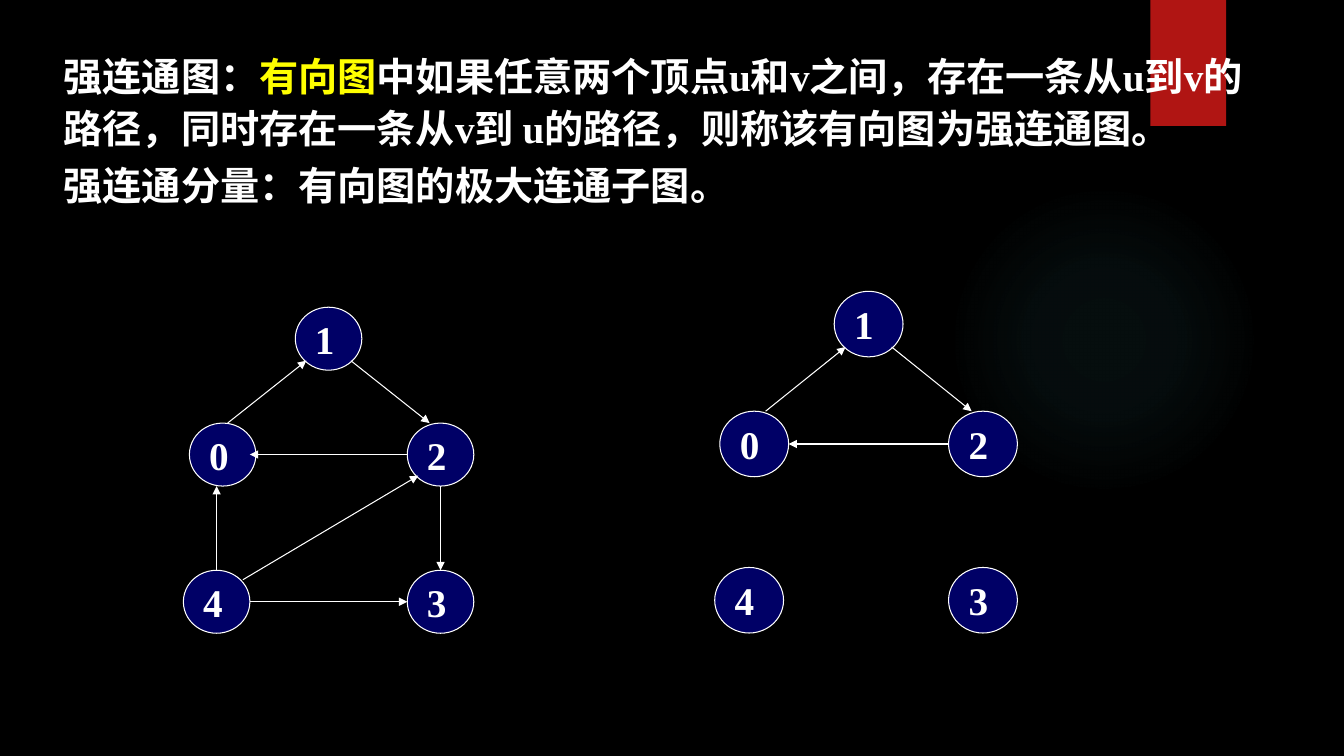
"""Build a slide that explains strongly connected graphs and components."""
from pptx import Presentation
from pptx import util as u
from pptx.dml.color import RGBColor
from pptx.enum import shapes, text
from pptx.oxml import parse_xml
from pptx.oxml.ns import nsdecls, qn

WIDTH, HEIGHT = u.Inches(13.33), u.Inches(7.5)
FONT = "Times New Roman"
COLOURS = {
    "back": "000000",
    "ribbon": "B01513",
    "glow": "50B9C1",
    "node": "000066",
    "plain": "FFFFFF",
    "accent": "FFFF00",
}
DEFINITIONS = [
    [
        ("强连通图：", "plain"),
        ("有向图", "accent"),
        ("中如果任意两个顶点u和v之间，存在一条从u到v的路径，"
         "同时存在一条从v到 u的路径，则称该有向图为强连通图。", "plain"),
    ],
    [("强连通分量：有向图的极大连通子图。", "plain")],
]
# Node places: column (-1 to 1) and row of a graph.
NODES = {"1": (0, 0), "0": (-1, 1), "2": (1, 1), "3": (1, 2), "4": (-1, 2)}
# Edges: start node, its port, end node, its port; ports are in node radii.
CYCLE = [
    ("0", (0.33, -1), "1", (-0.67, 0.7)),
    ("1", (0.67, 0.7), "2", (-0.33, -1)),
    ("2", (-1, 0), "0", (1, 0)),
]
BRIDGES = [
    ("4", (0, -1), "0", (0, 1)),
    ("2", (0, 1), "3", (0, -1)),
    ("4", (1, 0), "3", (-1, 0)),
    ("4", (0.79, -0.7), "2", (-0.67, 0.67)),
]


def across(share):
    """Return a percentage of the slide width as a length."""
    return u.Emu(round(WIDTH * share / 100))


def down(share):
    """Return a percentage of the slide height as a length."""
    return u.Emu(round(HEIGHT * share / 100))


def colour(name):
    """Return the named colour."""
    return RGBColor.from_string(COLOURS[name])


def style_span(span, name):
    """Give a run the bold type used on the whole slide."""
    span.font.name = FONT
    span.font.size = u.Pt(28)
    span.font.bold = True
    span.font.color.rgb = colour(name)


def add_block(parent, kind, left, top, width, height, fill):
    """Add a filled shape without outline or shadow."""
    block = parent.shapes.add_shape(
        kind, across(left), down(top), across(width), down(height))
    block.shadow.inherit = False
    block.fill.solid()
    block.fill.fore_color.rgb = colour(fill)
    block.line.fill.background()
    return block


def add_glow(page):
    """Add the faint round light."""
    glow = add_block(page, shapes.MSO_SHAPE.OVAL, 70.6, 24.4, 23.1, 41.07, "glow")
    stops = "".join(
        f'<a:gs pos="{place}000"><a:srgbClr val="{COLOURS["glow"]}">'
        f'<a:alpha val="{alpha}000"/></a:srgbClr></a:gs>'
        for place, alpha in ((0, 7), (36, 6), (69, 0), (100, 0)))
    gradient = parse_xml(
        f'<a:gradFill {nsdecls("a")}><a:gsLst>{stops}</a:gsLst><a:path path="circle">'
        '<a:fillToRect l="50000" t="50000" r="50000" b="50000"/></a:path></a:gradFill>')
    properties = glow._element.spPr
    properties.replace(properties.find(qn("a:solidFill")), gradient)


def add_definitions(page, box):
    """Fill the body placeholder and bring it in front of the decoration."""
    page.shapes._spTree.append(box._element)
    box.left, box.top = across(3.98), down(5.6)
    box.width, box.height = across(89.8), down(22.13)
    frame = box.text_frame
    frame.word_wrap = True
    frame.auto_size = text.MSO_AUTO_SIZE.SHAPE_TO_FIT_TEXT
    frame.vertical_anchor = text.MSO_ANCHOR.TOP
    for index, spans in enumerate(DEFINITIONS):
        para = frame.add_paragraph() if index else frame.paragraphs[0]
        para.line_spacing = 1.1
        para.space_before = u.Pt(4 * index)
        properties = para._p.get_or_add_pPr()
        properties.set("marL", "0")
        properties.set("indent", "0")
        properties.append(parse_xml(f'<a:buNone {nsdecls("a")}/>'))
        for words, name in spans:
            span = para.add_run()
            span.text = words
            style_span(span, name)


def add_node(group, label, centre, size):
    """Add a numbered vertex around its centre."""
    (x, y), (width, height) = centre, size
    node = add_block(group, shapes.MSO_SHAPE.OVAL,
                     x - width / 2, y - height / 2, width, height, "node")
    node.line.color.rgb = colour("plain")
    node.line.width = u.Pt(0.75)
    frame = node.text_frame
    frame.text = label
    frame.word_wrap = False
    frame.vertical_anchor = text.MSO_ANCHOR.MIDDLE
    para = frame.paragraphs[0]
    para.alignment = text.PP_ALIGN.LEFT
    style_span(para.runs[0], "plain")


def add_arrow(group, start, end):
    """Add a directed edge between two points."""
    arrow = group.shapes.add_connector(
        shapes.MSO_CONNECTOR.STRAIGHT,
        across(start[0]), down(start[1]), across(end[0]), down(end[1]))
    arrow.line.color.rgb = colour("plain")
    arrow.line.width = u.Pt(0.75)
    arrow.line._get_or_add_ln().append(
        parse_xml(f'<a:tailEnd {nsdecls("a")} type="triangle"/>'))
    arrow._element.spPr.append(parse_xml(f'<a:effectLst {nsdecls("a")}/>'))


def add_graph(page, middle, reach, rows, size, nudges, edges):
    """Add a group of vertices and directed edges."""
    group = page.shapes.add_group_shape()
    centres = {label: (middle + reach * column, rows[row])
               for label, (column, row) in NODES.items()}
    for label, (x, y) in centres.items():
        add_node(group, label, (x + nudges.get(label, 0), y), size)

    def port(label, offset):
        """Return the point where an edge meets a vertex."""
        return [place + shift * extent / 2
                for place, shift, extent in zip(centres[label], offset, size)]

    for source, leaving, target, entering in edges:
        add_arrow(group, port(source, leaving), port(target, entering))


def main():
    """Build and save the deck."""
    deck = Presentation()
    deck.slide_width, deck.slide_height = WIDTH, HEIGHT
    page = deck.slides.add_slide(deck.slide_layouts[1])
    page.background.fill.solid()
    page.background.fill.fore_color.rgb = colour("back")
    title, body = page.placeholders
    title._element.getparent().remove(title._element)
    add_glow(page)
    add_block(page, shapes.MSO_SHAPE.RECTANGLE, 85.6, 0, 5.63, 16.67, "ribbon")
    add_definitions(page, body)
    add_graph(page, 24.45, 8.33, (44.8, 60.13, 79.6), (4.95, 8.33),
              {"0": 0.45}, CYCLE + BRIDGES)
    add_graph(page, 64.63, 8.51, (42.87, 58.73, 79.4), (5.12, 8.67),
              {"4": -0.38}, CYCLE)
    deck.save("out.pptx")


if __name__ == "__main__":
    main()
